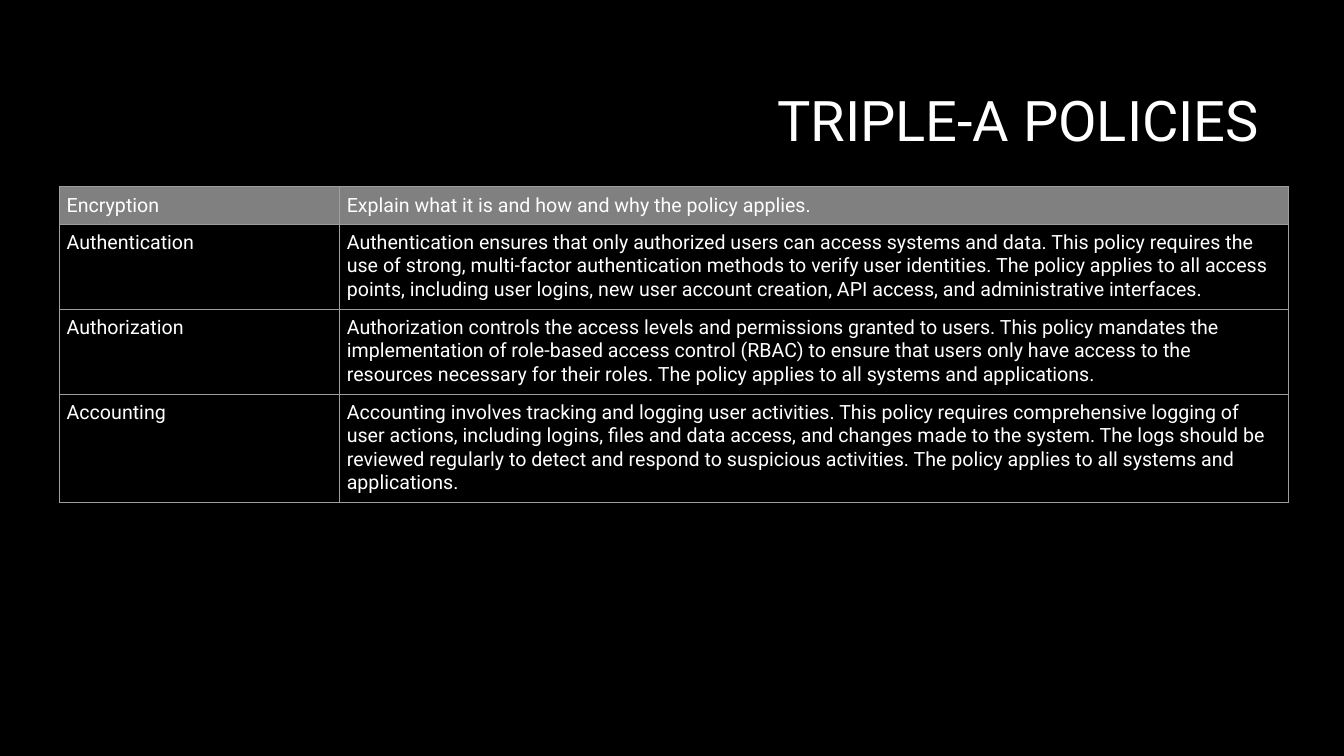
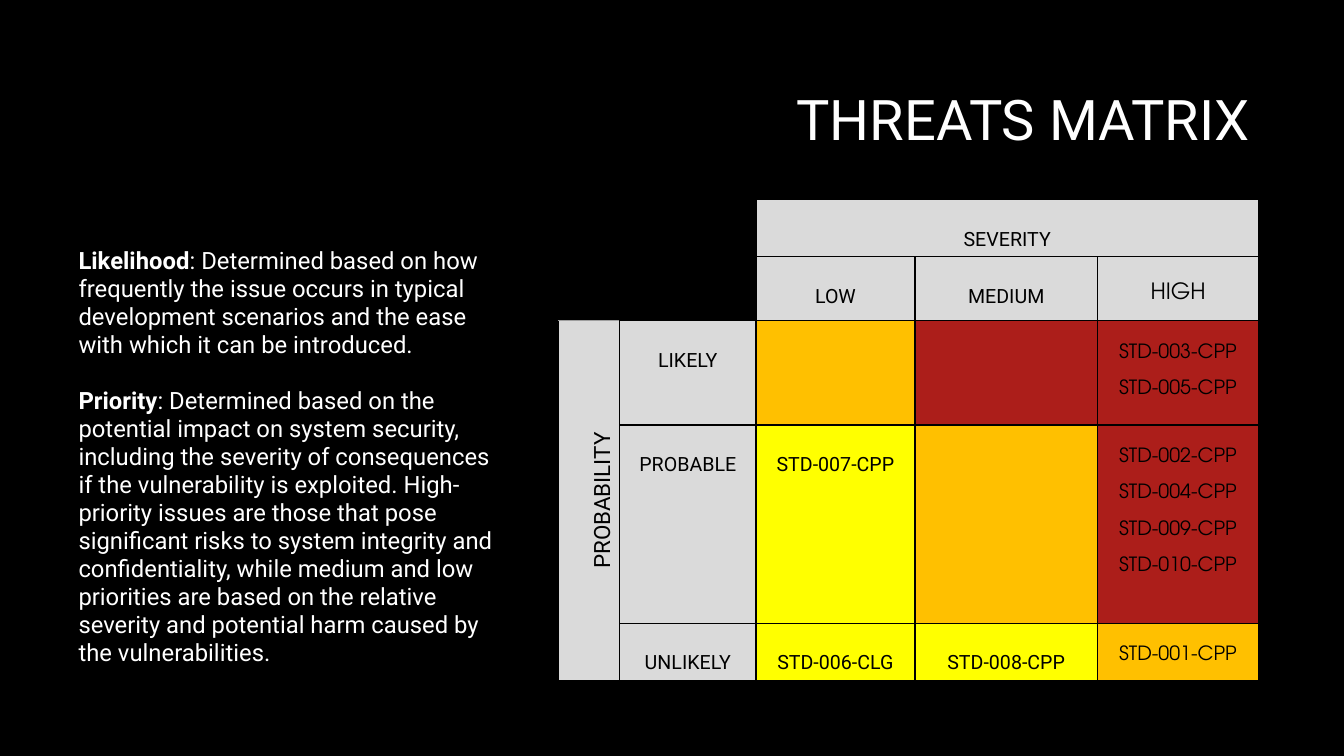
"""Build two dark slides: a table of security policies and a threat matrix."""
from dataclasses import dataclass, field
from typing import Optional

from lxml.etree import SubElement
from pptx import Presentation
from pptx.dml.color import RGBColor
from pptx.enum.text import MSO_ANCHOR as Anchor, PP_ALIGN as Align
from pptx.oxml.ns import qn
from pptx.util import Cm, Pt


@dataclass(frozen=True)
class Theme:
    background: str = "000000"
    light: str = "FFFFFF"
    dark: str = "000000"
    header: str = "808080"
    label: str = "DADADA"
    rule: str = "9E9E9E"
    low: str = "FFFF00"
    medium: str = "FFC000"
    high: str = "AC1E1A"
    font: str = "Roboto"
    code_font: str = "TeX Gyre Adventor"
    title_size: float = 40
    body_size: float = 17
    emphasis_size: float = 16
    table_size: float = 14


THEME = Theme()


@dataclass(frozen=True)
class Box:
    left: float
    top: float
    width: float
    height: float


@dataclass(frozen=True)
class Border:
    color: str
    width: float


RULE = Border(THEME.rule, 0.75)
GRID = Border(THEME.dark, 1)


@dataclass(frozen=True)
class Entry:
    text: str = ""
    fill: Optional[str] = None
    size: float = THEME.table_size
    font: str = THEME.font
    anchor: Anchor = Anchor.TOP
    vertical: bool = False
    borders: dict[str, Border] = field(default_factory=dict)


@dataclass(frozen=True)
class TableStyle:
    border: Border
    color: str
    align: Align = Align.LEFT
    line_spacing: float = 1
    margin: Optional[float] = None


POLICY_STYLE = TableStyle(RULE, THEME.light, margin=0.18)
MATRIX_STYLE = TableStyle(GRID, THEME.dark, Align.CENTER, 2)

POLICIES = [
    ("Encryption", "Explain what it is and how and why the policy applies."),
    ("Authentication",
     "Authentication ensures that only authorized users can access systems and data. "
     "This policy requires the use of strong, multi-factor authentication methods to "
     "verify user identities. The policy applies to all access points, including user "
     "logins, new user account creation, API access, and administrative interfaces."),
    ("Authorization",
     "Authorization controls the access levels and permissions granted to users. This "
     "policy mandates the implementation of role-based access control (RBAC) to ensure "
     "that users only have access to the resources necessary for their roles. The policy "
     "applies to all systems and applications."),
    ("Accounting",
     "Accounting involves tracking and logging user activities. This policy requires "
     "comprehensive logging of user actions, including logins, files and data access, and "
     "changes made to the system. The logs should be reviewed regularly to detect and "
     "respond to suspicious activities. The policy applies to all systems and applications."),
]

DEFINITIONS = (
    "Likelihood: Determined based on how frequently the issue occurs in typical development "
    "scenarios and the ease with which it can be introduced.\n"
    "Priority: Determined based on the potential impact on system security, including the "
    "severity of consequences if the vulnerability is exploited. High-priority issues are "
    "those that pose significant risks to system integrity and confidentiality, while medium "
    "and low priorities are based on the relative severity and potential harm caused by the "
    "vulnerabilities."
)


def write_text(frame, text: str, *, size: float, color: str, font: str = THEME.font,
               align: Align = Align.LEFT, line_spacing: float = 1, gap: float = 0,
               indent: float = 0, bold_lead: bool = False) -> None:
    """Write one paragraph per line of text, optionally bold up to the colon."""
    for index, line in enumerate(text.split("\n")):
        paragraph = frame.add_paragraph() if index else frame.paragraphs[0]
        if indent:
            properties = paragraph._p.get_or_add_pPr()
            properties.set("marL", str(Cm(indent)))
            properties.set("indent", "0")
        paragraph.alignment = align
        paragraph.line_spacing = line_spacing
        if index and gap:
            paragraph.space_before = Pt(gap)
        lead, colon, rest = line.partition(":") if bold_lead else ("", "", line)
        for content, bold in ((lead, True), (colon + rest, False)):
            if content:
                run = paragraph.add_run()
                run.text = content
                run.font.name = font
                run.font.size = Pt(size)
                run.font.bold = bold
                run.font.color.rgb = RGBColor.from_string(color)


def add_text(slide, box: Box, text: str, anchor: Anchor = Anchor.TOP, **text_format) -> None:
    """Place a wrapped text box."""
    shape = slide.shapes.add_textbox(Cm(box.left), Cm(box.top), Cm(box.width), Cm(box.height))
    frame = shape.text_frame
    frame.word_wrap = True
    frame.vertical_anchor = anchor
    write_text(frame, text, **text_format)


def add_slide(presentation, title: str, title_box: Box):
    """Add a dark slide with a right-aligned title."""
    slide = presentation.slides.add_slide(presentation.slide_layouts[6])
    background = slide.background.fill
    background.solid()
    background.fore_color.rgb = RGBColor.from_string(THEME.background)
    add_text(slide, title_box, title, Anchor.MIDDLE, size=THEME.title_size,
             color=THEME.light, align=Align.RIGHT, line_spacing=0.9)
    return slide


def set_borders(cell, default: Border, special: dict[str, Border]) -> None:
    """Draw the four borders of a cell."""
    properties = cell._tc.get_or_add_tcPr()
    for side in "LRTB":
        border = special.get(side, default)
        line = SubElement(properties, qn(f"a:ln{side}"), w=str(Pt(border.width)))
        SubElement(SubElement(line, qn("a:solidFill")), qn("a:srgbClr"), val=border.color)


def fill_cell(cell, entry: Entry, style: TableStyle) -> None:
    """Format one cell and write its text."""
    set_borders(cell, style.border, entry.borders)
    if entry.fill:
        cell.fill.solid()
        cell.fill.fore_color.rgb = RGBColor.from_string(entry.fill)
    else:
        cell.fill.background()
    if style.margin is not None:
        cell.margin_left = cell.margin_right = Cm(style.margin)
        cell.margin_top = cell.margin_bottom = Cm(style.margin)
    cell.vertical_anchor = entry.anchor
    if entry.vertical:
        cell._tc.get_or_add_tcPr().set("vert", "vert270")
    if entry.text:
        write_text(cell.text_frame, entry.text, size=entry.size, font=entry.font,
                   color=style.color, align=style.align, line_spacing=style.line_spacing)


def add_table(slide, left: float, top: float, widths: list[float], heights: list[float],
              entries: list[list[Entry]], style: TableStyle, merges=()) -> None:
    """Add a table, with merges given as pairs of corner cells."""
    table = slide.shapes.add_table(len(heights), len(widths), Cm(left), Cm(top),
                                   Cm(sum(widths)), Cm(sum(heights))).table
    table.first_row = table.horz_banding = False
    for column, width in zip(table.columns, widths):
        column.width = Cm(width)
    for row, height in zip(table.rows, heights):
        row.height = Cm(height)
    for first, last in merges:
        table.cell(*first).merge(table.cell(*last))
    for row_index, row_entries in enumerate(entries):
        for column_index, entry in enumerate(row_entries):
            fill_cell(table.cell(row_index, column_index), entry, style)


def label(text: str = "", **options) -> Entry:
    """Return a grey heading cell of the matrix."""
    return Entry(text, THEME.label, **options)


def codes(fill: str, *numbers: str) -> Entry:
    """Return a cell of the high column listing its standards."""
    text = "\n".join(f"STD-{number}-CPP" for number in numbers)
    return Entry(text, fill, font=THEME.code_font)


def build_policies(presentation) -> None:
    """Build the policy table slide."""
    slide = add_slide(presentation, "TRIPLE-A POLICIES", Box(8.05, 2.13, 23.93, 1.96))
    header, *policies = POLICIES
    entries = [[Entry(text, THEME.header, anchor=Anchor.BOTTOM) for text in header]]
    entries += [[Entry(text) for text in policy] for policy in policies]
    add_table(slide, 1.5, 4.7, [7.06, 23.9], [0.74] * len(entries), entries, POLICY_STYLE)


def build_matrix(presentation) -> None:
    """Build the threat matrix slide."""
    slide = add_slide(presentation, "THREATS MATRIX", Box(7.82, 1.85, 23.93, 2.46))
    add_text(slide, Box(1.09, 6.1, 11.68, 11.18), DEFINITIONS, size=THEME.body_size,
             color=THEME.light, line_spacing=0.98, gap=19.7, indent=0.64, bold_lead=True)
    low, medium, high = THEME.low, THEME.medium, THEME.high
    big = THEME.emphasis_size
    entries = [
        [Entry(borders={"B": RULE}), Entry(), label("SEVERITY"), label(), label()],
        [Entry(borders={"B": RULE}), Entry(), label("LOW"), label("MEDIUM"),
         label("HIGH", size=big, font=THEME.code_font)],
        [label("PROBABILITY", size=big, anchor=Anchor.MIDDLE, vertical=True,
               borders={"T": RULE}),
         label("LIKELY"), Entry(fill=medium), Entry(fill=high), codes(high, "003", "005")],
        [label(), label("PROBABLE"), Entry("STD-007-CPP", low), Entry(fill=medium),
         codes(high, "002", "004", "009", "010")],
        [label(), label("UNLIKELY"), Entry("STD-006-CLG", low), Entry("STD-008-CPP", low),
         codes(medium, "001")],
    ]
    merges = [((0, 0), (1, 0)), ((0, 2), (0, 4)), ((2, 0), (4, 0))]
    add_table(slide, 14.07, 5.03, [1.55, 3.43, 4.01, 4.6, 4.06],
              [1.35, 0.97, 1.88, 3.45, 1.35], entries, MATRIX_STYLE, merges)


def main() -> None:
    """Create and save the presentation."""
    presentation = Presentation()
    presentation.slide_width = Cm(33.87)
    presentation.slide_height = Cm(19.05)
    build_policies(presentation)
    build_matrix(presentation)
    presentation.save("out.pptx")


if __name__ == "__main__":
    main()
